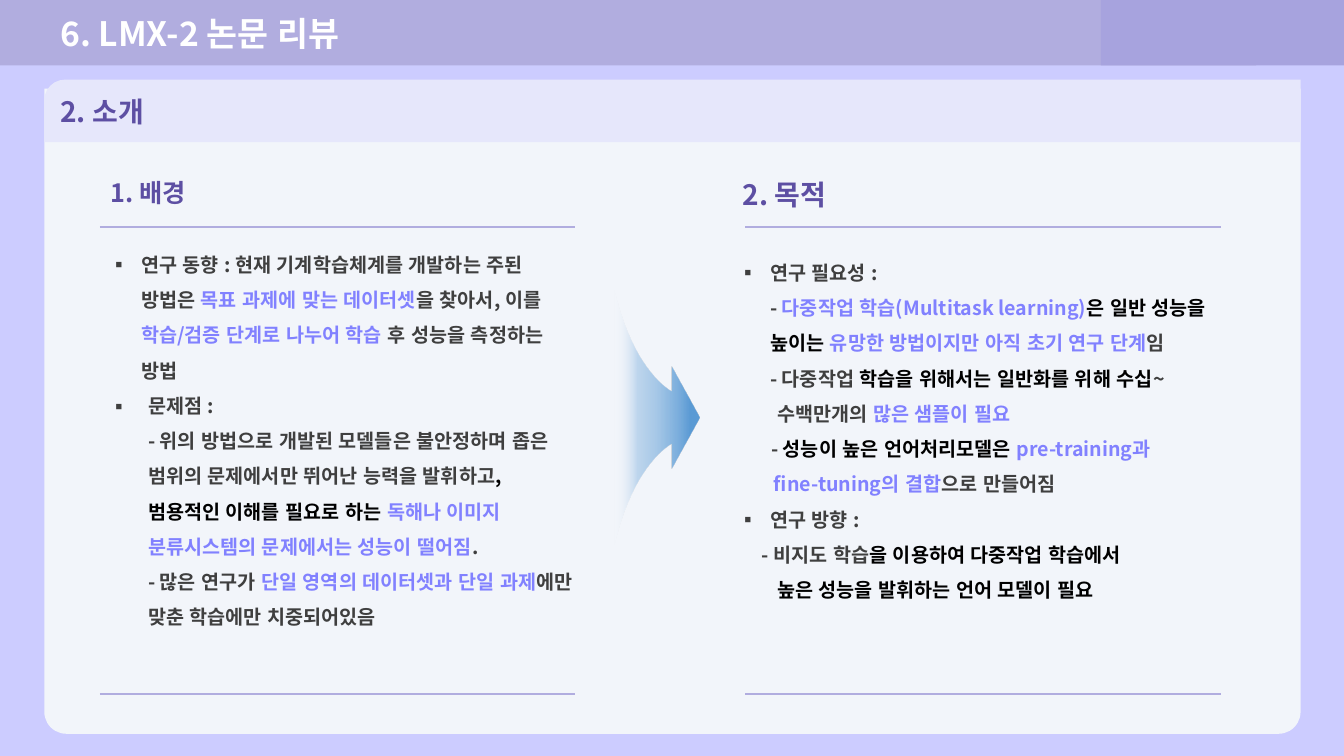
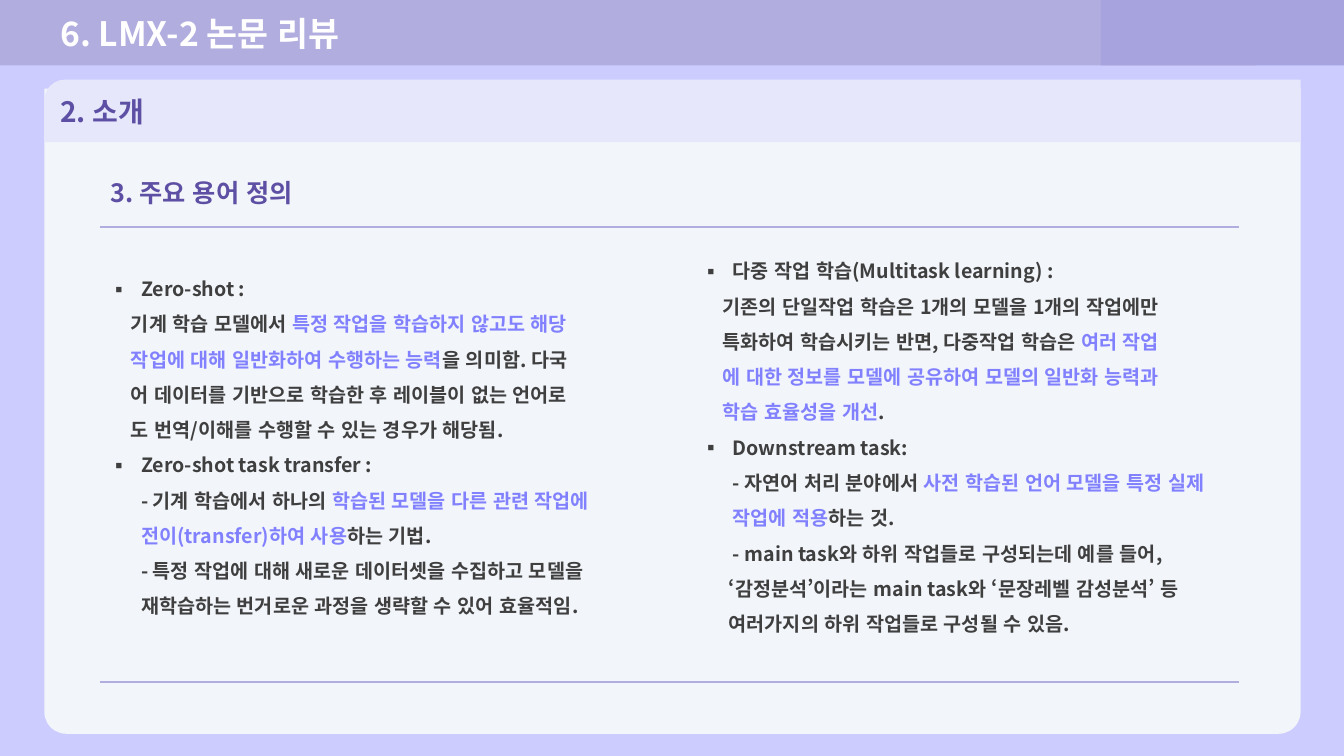
from lxml.etree import SubElement
from pptx import Presentation
from pptx.dml.color import RGBColor as RGB
from pptx.enum.lang import MSO_LANGUAGE_ID as LANG
from pptx.enum.shapes import MSO_CONNECTOR as CONN, MSO_SHAPE as SHP
from pptx.enum.text import MSO_ANCHOR as ANC, PP_ALIGN as AL
from pptx.oxml import parse_xml
from pptx.oxml.ns import nsdecls, qn
from pptx.util import Inches, Pt

C = {"bg": "CCCCFF", "band": "B1ADDF", "tab": "A7A3DE", "panel": "F2F5FA",
     "header": "E6E7FB", "title": "5D4FA3", "white": "FFFFFF",
     "ink": "3F3F3F", "violet": "8181FF", "black": "000000", "arrow": "5B9BD5"}
FONT = "Noto Sans CJK KR"
BODY, SUB, HEAD, TITLE = (
    {"name": FONT, "size": Pt(n), "bold": True, "language_id": LANG.KOREAN}
    for n in (14, 18, 20, 24))

prs = Presentation()
prs.slide_width, prs.slide_height = Inches(13.33), Inches(7.5)
COL, ROW = prs.slide_width / 100, prs.slide_height / 100


def grid(*cells):
    return [round(v * (ROW if i % 2 else COL)) for i, v in enumerate(cells)]


def write(tf, fmt, paras, spacing=1.0, anchor=ANC.TOP):
    tf.word_wrap, tf.vertical_anchor = True, anchor
    for i, (indent, bullet, runs) in enumerate(paras):
        p = tf.add_paragraph() if i else tf.paragraphs[0]
        p.alignment, p.line_spacing = AL.LEFT, spacing
        pPr = p._p.get_or_add_pPr()
        left = round(indent * COL)
        pPr.set("marL", str(left))
        pPr.set("indent", str(-left if bullet else 0))
        if bullet:
            clr = SubElement(pPr, qn("a:buClr"))
            SubElement(clr, qn("a:srgbClr")).set("val", C["ink"])
            SubElement(pPr, qn("a:buFont")).set("typeface", FONT)
            SubElement(pPr, qn("a:buChar")).set("char", bullet)
        for colour, text in runs:
            r = p.add_run()
            r.text = text
            for key, value in fmt.items():
                setattr(r.font, key, value)
            r.font.color.rgb = RGB.from_string(C[colour])
            SubElement(r._r.get_or_add_rPr(), qn("a:ea")).set("typeface", FONT)


I, V, K = "ink", "violet", "black"
DOT = "▪"
BACKGROUND = [
    (2.33, DOT, [(I, "연구 동향 : 현재 기계학습체계를 개발하는 주된 방법은 "),
                 (V, "목표 과제에 맞는 데이터셋"), (I, "을 찾아서, 이를 "),
                 (V, "학습/검증 단계로 나누어 학습 "), (I, "후 성능을 측정하는 방법")]),
    (2.85, DOT, [(I, "문제점 :")]),
    (2.85, "", [(I, "- 위의 방법으로 개발된 모델들은 불안정하며 좁은 범위의 문제에서만 뛰어난 능력을 발휘하고"),
                (K, ", 범용적인 이해를 필요로 하는 "),
                (V, "독해나 이미지 분류시스템의 문제에서는 성능이 떨어짐"), (I, ".")]),
    (2.85, "", [(I, "- 많은 연구가 "), (V, "단일 영역의 데이터셋과 단일 과제"),
                (I, "에만 맞춘 학습에만 치중되어있음")]),
]
PURPOSE = [
    (2.33, DOT, [(I, "연구 필요성 :")]),
    (2.33, "", [(I, "- "), (V, "다중작업 학습(Multitask learning)"),
                (K, "은 일반 성능을 높이는 "),
                (V, "유망한 방법이지만 아직 초기 연구 단계"), (I, "임")]),
    (2.33, "", [(I, "- 다중작업 "), (K, "학습을 위해서는 일반화를 위해 수십"), (I, "~")]),
    (2.85, "", [(I, "수백만개의 "), (V, "많은 샘플이 필요")]),
    (2.4, "", [(I, "- "), (K, "성능이 높은 언어처리모델은 "), (V, "pre-training과")]),
    (2.6, "", [(V, "fine-tuning의 결합"), (I, "으로 만들어짐")]),
    (2.33, DOT, [(I, "연구 방향 :")]),
    (1.7, "", [(I, "- 비지도 학습"), (K, "을 이용하여 다중작업 학습에서")]),
    (2.85, "", [(K, "높은 성능을 발휘하는 언어 모델이 필요")]),
]
ZERO_SHOT = [
    (2.33, DOT, [(I, "Zero-shot :")]),
    (1.58, "", [(I, "기계 학습 모델에서 "), (V, "특정 작업을 학습하지 않고도 해당")]),
    (1.58, "", [(V, "작업에 대해 일반화하여 수행하는 능력"), (I, "을 의미함. 다국")]),
    (1.58, "", [(I, "어 데이터를 기반으로 학습한 후 레이블이 없는 언어로")]),
    (1.58, "", [(I, "도 번역/이해를 수행할 수 있는 경우가 해당됨.")]),
    (2.33, DOT, [(I, "Zero-shot task transfer :")]),
    (2.33, "", [(I, "- 기계 학습에서 하나의 "),
                (V, "학습된 모델을 다른 관련 작업에 전이(transfer)하여 사용"),
                (I, "하는 기법.")]),
    (2.33, "", [(I, "- 특정 작업에 대해 새로운 데이터셋을 수집하고 모델을 "
                    "재학습하는 번거로운 과정을 생략할 수 있어 효율적임.")]),
]
MULTITASK = [
    (2.33, DOT, [(I, "다중 작업 학습(Multitask learning) :")]),
    (1.58, "", [(I, "기존의 단일작업 학습은 1개의 모델을 1개의 작업에만")]),
    (1.58, "", [(I, "특화하여 학습시키는 반면, 다중작업 학습은 "), (V, "여러 작업")]),
    (1.58, "", [(V, "에 대한 정보를 모델에 공유하여 모델의 일반화 능력과")]),
    (1.58, "", [(V, "학습 효율성을 개선"), (I, ".")]),
    (2.33, DOT, [(I, "Downstream task:")]),
    (2.33, "", [(I, "- 자연어 처리 분야에서 "),
                (V, "사전 학습된 언어 모델을 특정 실제 작업에 적용"), (I, "하는 것.")]),
    (2.33, "", [(I, "- main task와 하위 작업들로 구성되는데 예를 들어,")]),
    (2.03, "", [(I, "‘감정분석’이라는 main task와 ‘문장레벨 감성분석’ 등")]),
    (2.03, "", [(I, "여러가지의 하위 작업들로 구성될 수 있음.")]),
]

SLIDES = [
    {"heads": [(7.5, SUB, "1. 배경"), (54.54, HEAD, "2. 목적")],
     "spans": [(7.43, 42.76), (55.44, 90.85)], "bottom": 91.8,
     "bodies": [((7.43, 31.2, 36.31, 56.67), BACKGROUND),
                ((54.24, 32.27, 36.53, 55.6), PURPOSE)],
     "anchor": ANC.TOP, "arrow": True},
    {"heads": [(7.5, SUB, "3. 주요 용어 정의")],
     "spans": [(7.43, 92.2)], "bottom": 90.2,
     "bodies": [((7.43, 30.13, 39.46, 56.53), ZERO_SHOT),
                ((51.46, 30.13, 39.46, 56.53), MULTITASK)],
     "anchor": ANC.MIDDLE, "arrow": False},
]
FRAME = [
    (SHP.RECTANGLE, (0, 0, 93.47, 8.67), "band", [],
     (TITLE, 3.75, "white", "6. LMX-2 논문 리뷰")),
    (SHP.RECTANGLE, (81.92, 0, 18.08, 8.67), "tab", [], None),
    (SHP.ROUND_2_SAME_RECTANGLE, (3.3, 11.73, 93.47, 85.33), "panel", [0, 0.034], None),
    (SHP.ROUND_1_RECTANGLE, (3.3, 10.53, 93.47, 8.27), "header", [0.33],
     (HEAD, 0, "title", "2. 소개")),
]
STOPS = [(0, "white", 0), (27, "arrow", 34), (50, "arrow", 50),
         (76, "arrow", 80), (89, "arrow", 100), (100, "arrow", 100)]
MID = 55.2
CURVE = [(45.69, 72.27), (47.11, 61.2), (49.96, 58.67), (49.96, 58.67)]
STEPS = 24

fill = prs.slide_master.background.fill
fill.solid()
fill.fore_color.rgb = RGB.from_string(C["bg"])

for page in SLIDES:
    s = prs.slides.add_slide(prs.slide_layouts[6])
    for kind, cells, colour, adjust, label in FRAME:
        sp = s.shapes.add_shape(kind, *grid(*cells))
        sp.shadow.inherit = False
        sp.fill.solid()
        sp.fill.fore_color.rgb = RGB.from_string(C[colour])
        sp.line.fill.background()
        for i, value in enumerate(adjust):
            sp.adjustments[i] = value
        if kind == SHP.ROUND_1_RECTANGLE:
            sp._element.spPr.xfrm.set("flipH", "1")
        if label:
            fmt, indent, ink, text = label
            write(sp.text_frame, fmt, [(indent, "", [(ink, text)])], anchor=ANC.MIDDLE)

    for x, fmt, text in page["heads"]:
        tb = s.shapes.add_textbox(*grid(x, 22.8, 25, 5.6))
        write(tb.text_frame, fmt, [(0, "", [("title", text)])])

    for x1, x2 in page["spans"]:
        for y in (30, page["bottom"]):
            ln = s.shapes.add_connector(CONN.STRAIGHT, *grid(x1, y, x2, y))
            ln.line.color.rgb = RGB.from_string(C["band"])
            ln.line.width = Pt(1.5)
            SubElement(ln._element.spPr, qn("a:effectLst"))

    for cells, paras in page["bodies"]:
        tb = s.shapes.add_textbox(*grid(*cells))
        write(tb.text_frame, BODY, paras, 1.5, page["anchor"])

    if page["arrow"]:
        edge = []
        for n in range(STEPS + 1):
            t = n / STEPS
            weights = ((1 - t) ** 3, 3 * t * (1 - t) ** 2, 3 * t * t * (1 - t), t ** 3)
            edge.append([sum(w * pt[axis] for w, pt in zip(weights, CURVE))
                         for axis in (0, 1)])
        edge.append([49.96, 62])
        mirror = [[x, 2 * MID - y] for x, y in reversed(edge)]
        points = [grid(*pt) for pt in edge + [[52.06, MID]] + mirror]
        fb = s.shapes.build_freeform(*points[0])
        fb.add_line_segments(points[1:], close=True)
        sp = fb.convert_to_shape()
        sp.shadow.inherit = False
        sp.line.fill.background()
        stops = "".join(
            f'<a:gs pos="{pos * 1000}"><a:srgbClr val="{C[colour]}">'
            f'<a:alpha val="{alpha * 1000}"/></a:srgbClr></a:gs>'
            for pos, colour, alpha in STOPS)
        sp._element.spPr.find(qn("a:custGeom")).addnext(parse_xml(
            f'<a:gradFill {nsdecls("a")} rotWithShape="1"><a:gsLst>{stops}</a:gsLst>'
            '<a:lin ang="0" scaled="0"/></a:gradFill>'))

prs.save("out.pptx")
